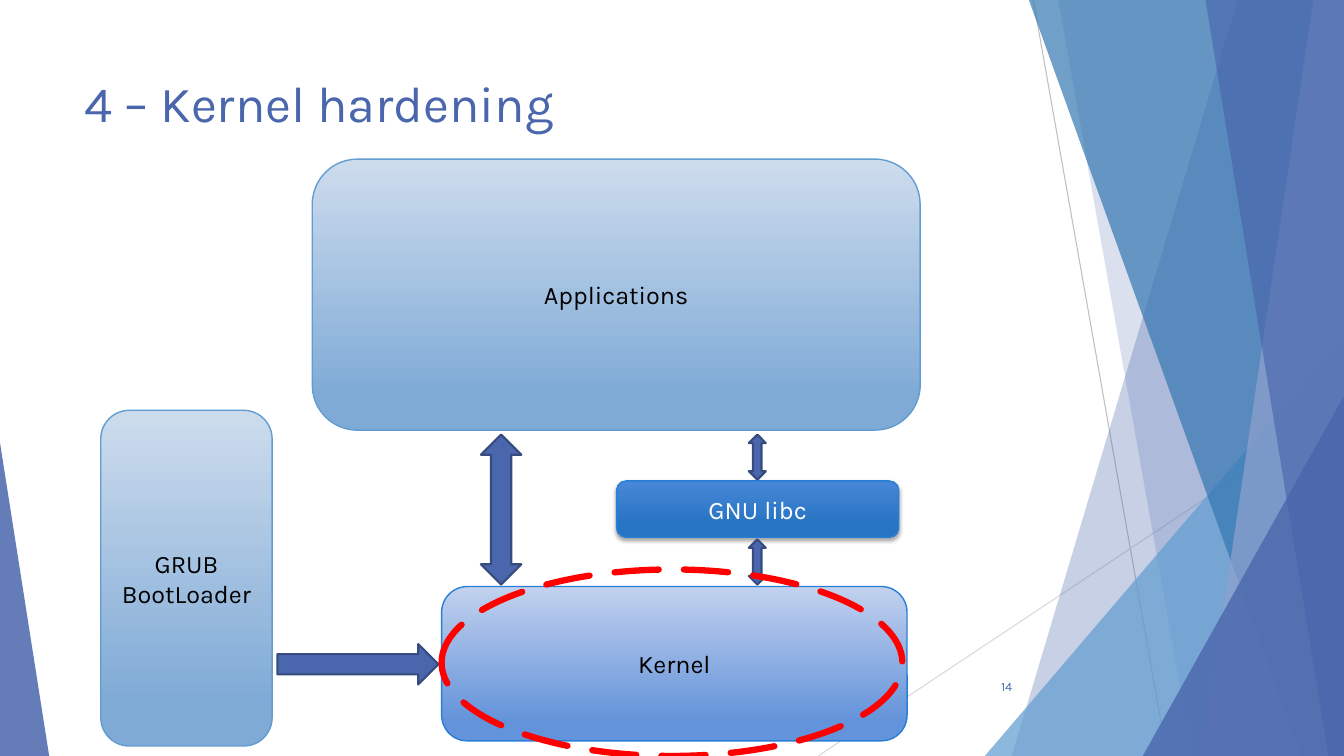
from dataclasses import dataclass
from typing import Optional, Union

import pptx
import pptx.dml.color
import pptx.enum.dml
import pptx.enum.shapes
import pptx.enum.text
import pptx.oxml
import pptx.oxml.ns
import pptx.util
from pptx.util import Cm

PRESET = pptx.enum.shapes.MSO_SHAPE
ALIGN = pptx.enum.text.PP_ALIGN
ANCHOR = pptx.enum.text.MSO_ANCHOR
NAMESPACE = pptx.oxml.ns.nsdecls("a")


@dataclass(frozen=True)
class Theme:
    font: str = "Karla"
    accent: str = "4A66AC"
    accent_pale: str = "90A2CF"
    accent_dark: str = "374B7F"
    sky: str = "629DD1"
    steel: str = "3477B2"
    azure: str = "297FD5"
    highlight: str = "FF0000"
    dark_text: str = "000000"
    light_text: str = "FFFFFF"
    title_size: int = 36
    label_size: int = 18
    number_size: int = 9


THEME = Theme()


@dataclass(frozen=True)
class Area:
    """A rectangle in centimetres."""
    left: float
    top: float
    width: float
    height: float

    def emu(self) -> tuple:
        return Cm(self.left), Cm(self.top), Cm(self.width), Cm(self.height)


SLIDE = Area(0, 0, 33.87, 19.05)


@dataclass(frozen=True)
class Ray:
    start: tuple
    end: tuple
    color: str


@dataclass(frozen=True)
class Facet:
    """A full-height panel from a slanted left edge to the slide's right edge."""
    top_x: float
    bottom_x: float
    color: str
    opacity: int


@dataclass(frozen=True)
class Wedge:
    """A right triangle whose apex lies at the given share of its width."""
    area: Area
    apex: float
    color: str
    opacity: int


@dataclass(frozen=True)
class Gradient:
    top: str
    bottom: str
    end: float


@dataclass(frozen=True)
class Layer:
    label: str
    area: Area
    gradient: Gradient
    outline: str
    text_color: str = THEME.dark_text
    raised: bool = False


@dataclass(frozen=True)
class Arrow:
    preset: PRESET
    area: Area


RAYS = [
    Ray((26.04, 0), (29.41, SLIDE.height), "BFBFBF"),
    Ray((SLIDE.width, 10.24), (20.62, SLIDE.height), "D9D9D9"),
]
BACKDROP = [
    Facet(31.19, 25.5, THEME.accent, 30),
    Facet(26.67, 30.05, THEME.accent, 20),
    Wedge(Area(24.82, 8.46, 9.05, 10.59), 1, THEME.sky, 72),
    Facet(25.93, 32.79, THEME.steel, 70),
    Facet(33.1, 30.28, THEME.accent_pale, 70),
    Facet(30.38, 33.48, THEME.accent, 65),
    Wedge(Area(28.8, 9.98, 5.07, 9.07), 1, THEME.accent, 80),
    Wedge(Area(0, 11.15, 1.24, 7.9), 0, THEME.accent, 85),
]
PALE = Gradient("CDDCED", "7FAAD6", 0.88)
LAYERS = [
    Layer("GRUB\nBootLoader", Area(2.54, 10.34, 4.32, 8.46), PALE, THEME.sky),
    Layer("Kernel", Area(11.13, 14.78, 11.73, 3.89),
          Gradient("C2D1EE", "6393DA", 0.88), THEME.azure),
    Layer("GNU libc", Area(15.54, 12.12, 7.11, 1.42),
          Gradient("4887D7", "2674C3", 0.78), THEME.azure, THEME.light_text, True),
    Layer("Applications", Area(7.87, 4.01, 15.32, 6.83), PALE, THEME.sky),
]
ARROWS = [
    Arrow(PRESET.RIGHT_ARROW, Area(6.99, 16.23, 4.06, 1.02)),
    Arrow(PRESET.UP_DOWN_ARROW, Area(12.12, 10.95, 1.02, 3.78)),
    Arrow(PRESET.UP_DOWN_ARROW, Area(18.87, 13.59, 0.43, 1.14)),
    Arrow(PRESET.UP_DOWN_ARROW, Area(18.87, 10.95, 0.43, 1.14)),
]
KERNEL_HIGHLIGHT = Area(11.13, 14.35, 11.61, 4.7)


def rgb(color: str) -> pptx.dml.color.RGBColor:
    return pptx.dml.color.RGBColor.from_string(color)


def write(frame, text: str, size: int, color: str, align: ALIGN, anchor: ANCHOR) -> None:
    frame.text = text
    frame.word_wrap = True
    frame.vertical_anchor = anchor
    for paragraph in frame.paragraphs:
        paragraph.alignment = align
        for run in paragraph.runs:
            run.font.name = THEME.font
            run.font.size = pptx.util.Pt(size)
            run.font.color.rgb = rgb(color)


def add_preset(slide, preset: PRESET, area: Area):
    shape = slide.shapes.add_shape(preset, *area.emu())
    shape.shadow.inherit = False
    return shape


def outline(shape, color: str, width: float) -> None:
    shape.line.color.rgb = rgb(color)
    shape.line.width = pptx.util.Pt(width)


def draw_ray(slide, ray: Ray) -> None:
    points = [Cm(value) for value in ray.start + ray.end]
    line = slide.shapes.add_connector(pptx.enum.shapes.MSO_CONNECTOR.STRAIGHT, *points)
    outline(line, ray.color, 0.75)
    line._element.spPr.append(pptx.oxml.parse_xml(f"<a:effectLst {NAMESPACE}/>"))


def draw_backdrop_part(slide, part: Union[Facet, Wedge]) -> None:
    if isinstance(part, Facet):
        builder = slide.shapes.build_freeform(Cm(part.top_x), 0)
        corners = [(SLIDE.width, 0), (SLIDE.width, SLIDE.height), (part.bottom_x, SLIDE.height)]
        builder.add_line_segments([(Cm(x), Cm(y)) for x, y in corners])
        shape = builder.convert_to_shape()
        shape.shadow.inherit = False
    else:
        shape = add_preset(slide, PRESET.ISOSCELES_TRIANGLE, part.area)
        shape.adjustments[0] = part.apex
    shape.fill.solid()
    shape.fill.fore_color.rgb = rgb(part.color)
    shape.line.fill.background()
    color = shape._element.spPr.find(".//" + pptx.oxml.ns.qn("a:srgbClr"))
    color.append(pptx.oxml.parse_xml(f'<a:alpha {NAMESPACE} val="{part.opacity * 1000}"/>'))


def draw_layer(slide, layer: Layer) -> None:
    shape = add_preset(slide, PRESET.ROUNDED_RECTANGLE, layer.area)
    shape.fill.gradient()
    shape.fill.gradient_angle = 270
    first, last = shape.fill.gradient_stops
    first.position, last.position = 0, layer.gradient.end
    first.color.rgb, last.color.rgb = rgb(layer.gradient.top), rgb(layer.gradient.bottom)
    outline(shape, layer.outline, 1)
    write(shape.text_frame, layer.label, THEME.label_size, layer.text_color,
          ALIGN.CENTER, ANCHOR.MIDDLE)
    if layer.raised:
        effects = shape._element.spPr.find(pptx.oxml.ns.qn("a:effectLst"))
        effects.append(pptx.oxml.parse_xml(
            f'<a:outerShdw {NAMESPACE} blurRad="{pptx.util.Pt(3)}" dist="{pptx.util.Pt(2)}" '
            'dir="5400000" rotWithShape="0"><a:srgbClr val="000000">'
            '<a:alpha val="35000"/></a:srgbClr></a:outerShdw>'))


def draw_arrow(slide, arrow: Arrow) -> None:
    shape = add_preset(slide, arrow.preset, arrow.area)
    shape.fill.solid()
    shape.fill.fore_color.rgb = rgb(THEME.accent)
    outline(shape, THEME.accent_dark, 1.5)


def draw_highlight(slide, area: Area) -> None:
    ring = add_preset(slide, PRESET.OVAL, area)
    ring.fill.background()
    outline(ring, THEME.highlight, 4.5)
    ring.line.dash_style = pptx.enum.dml.MSO_LINE.LONG_DASH
    ring._element.spPr.find(pptx.oxml.ns.qn("a:ln")).set("cap", "rnd")


def main() -> None:
    deck = pptx.Presentation()
    deck.slide_width, deck.slide_height = Cm(SLIDE.width), Cm(SLIDE.height)
    slide = deck.slides.add_slide(deck.slide_layouts.get_by_name("Title Only"))

    for ray in RAYS:
        draw_ray(slide, ray)
    for part in BACKDROP:
        draw_backdrop_part(slide, part)

    title = slide.shapes.title
    title.left, title.top, title.width, title.height = Area(1.88, 1.7, 23.88, 3.66).emu()
    write(title.text_frame, "4 – Kernel hardening", THEME.title_size, THEME.accent,
          ALIGN.LEFT, ANCHOR.TOP)
    number = slide.shapes.add_textbox(*Area(23.85, 16.79, 1.91, 1.02).emu())
    write(number.text_frame, "14", THEME.number_size, THEME.accent, ALIGN.RIGHT, ANCHOR.MIDDLE)

    for layer in LAYERS:
        draw_layer(slide, layer)
    for arrow in ARROWS:
        draw_arrow(slide, arrow)
    draw_highlight(slide, KERNEL_HIGHLIGHT)
    deck.save("out.pptx")


if __name__ == "__main__":
    main()
